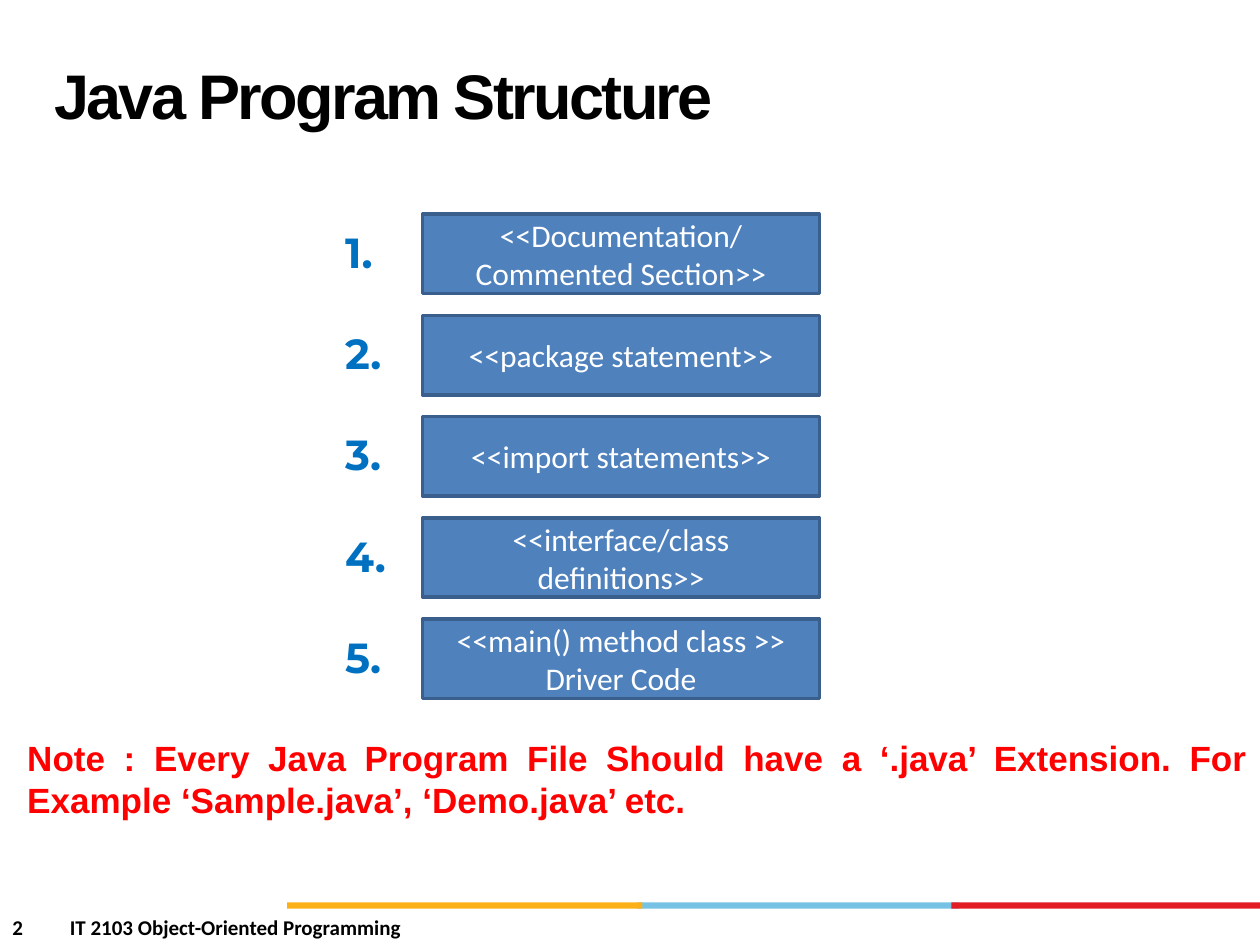
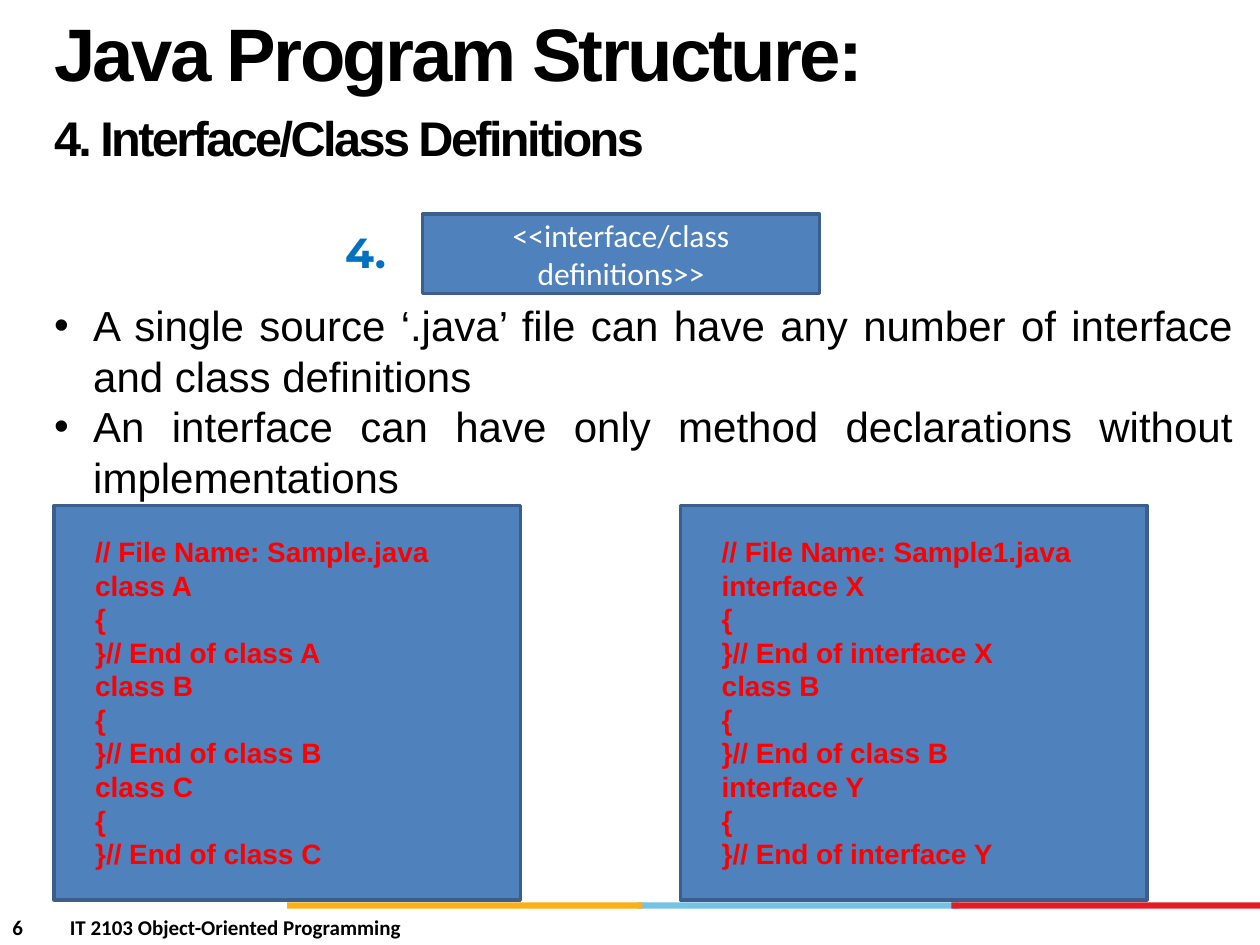
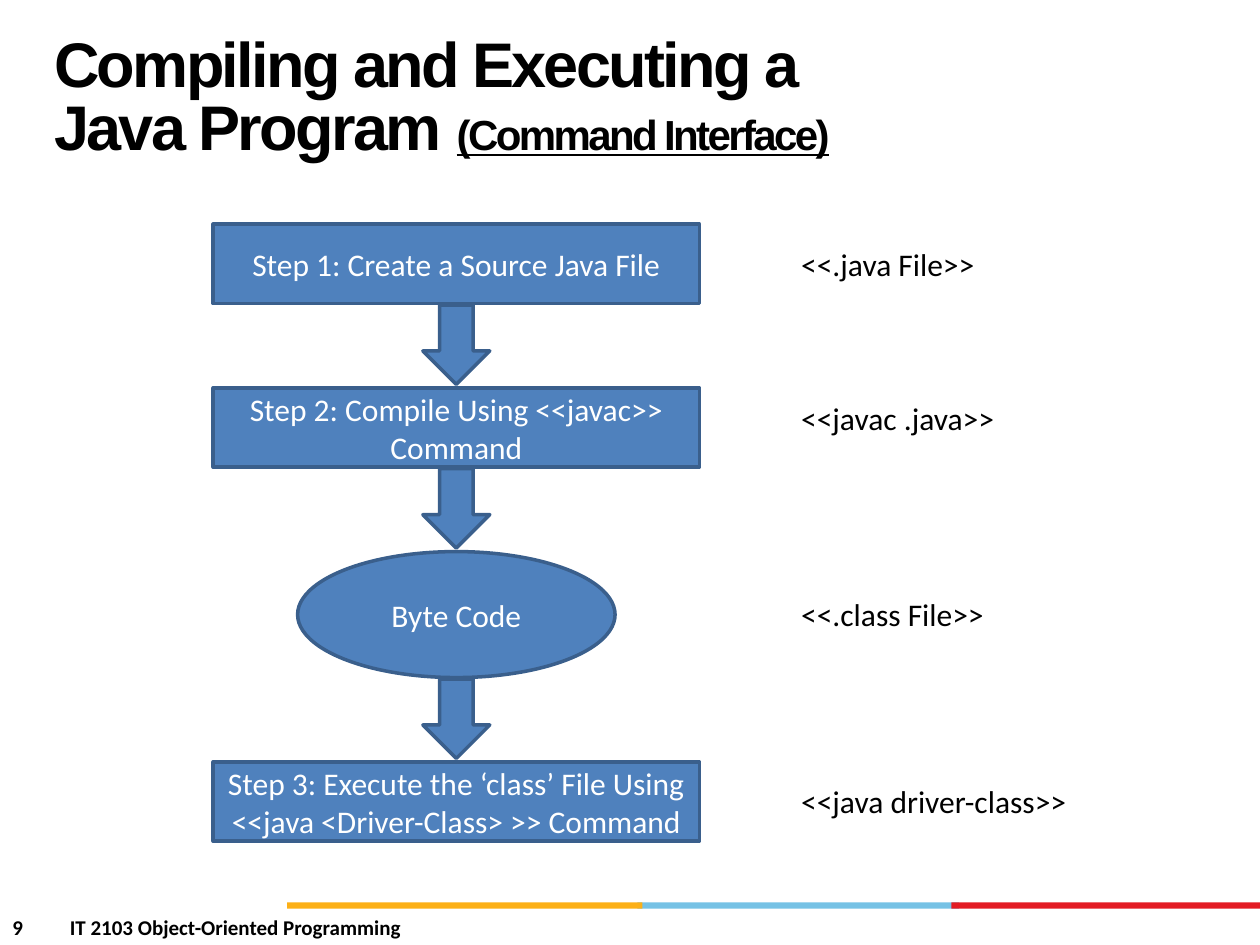
from dataclasses import dataclass

from lxml.etree import SubElement
from pptx import Presentation
from pptx.dml.color import RGBColor
from pptx.enum.shapes import MSO_SHAPE
from pptx.enum.text import MSO_ANCHOR, MSO_AUTO_SIZE, PP_ALIGN
from pptx.oxml.ns import qn
from pptx.util import Cm, Pt

BLACK = RGBColor(0x00, 0x00, 0x00)
WHITE = RGBColor(0xFF, 0xFF, 0xFF)
RED = RGBColor(0xFF, 0x00, 0x00)
NUMBER_BLUE = RGBColor(0x00, 0x70, 0xC0)
BOX_FILL = RGBColor(0x4F, 0x81, 0xBD)
BOX_LINE = RGBColor(0x3A, 0x5F, 0x8C)
BAND_BLUE = RGBColor(0x76, 0xC2, 0xE5)
BAND_RED = RGBColor(0xE3, 0x1C, 0x24)
BAND_YELLOW = RGBColor(0xFC, 0xB0, 0x17)

COURSE = "IT 2103 Object-Oriented Programming"
BANDS = [(12.85, 6.48, BAND_BLUE), (19.18, 6.22, BAND_RED), (5.79, 7.16, BAND_YELLOW)]
BOX_HEIGHT = 1.6


@dataclass(frozen=True)
class Style:
    font: str
    size: float
    color: RGBColor
    bold: bool = False
    align: PP_ALIGN = PP_ALIGN.LEFT
    spacing: int = 0


TITLE = Style("Arial", 36, BLACK, True, spacing=-150)
FOOTER = Style("Calibri", 12, BLACK, True)
BOX = Style("Calibri", 18, WHITE, align=PP_ALIGN.CENTER)
LABEL = Style("Calibri", 18, BLACK)
NUMBER = Style("Montserrat", 24, NUMBER_BLUE, True)
NOTE = Style("Arial", 20, RED, True, PP_ALIGN.JUSTIFY)
BODY = Style("Arial", 24, BLACK, align=PP_ALIGN.JUSTIFY)
CODE = Style("Arial", 16, RED, True)


def add_run(p, text, style, size=None, underline=None):
    r = p.add_run()
    r.text = text
    font = r.font
    font.name = style.font
    font.size = Pt(size or style.size)
    font.bold = style.bold
    font.underline = underline
    font.color.rgb = style.color
    if style.spacing:
        r._r.get_or_add_rPr().set("spc", str(style.spacing))


def paragraphs(tf, count, style):
    for i in range(count):
        p = tf.add_paragraph() if i else tf.paragraphs[0]
        p.alignment = style.align
        yield p


def write_lines(tf, lines, style):
    for p, line in zip(paragraphs(tf, len(lines), style), lines):
        add_run(p, line, style)


def text_frame(s, left, top, width, height, wrap=True, grow=True):
    tf = s.shapes.add_textbox(Cm(left), Cm(top), Cm(width), Cm(height)).text_frame
    tf.word_wrap = wrap
    tf.auto_size = MSO_AUTO_SIZE.SHAPE_TO_FIT_TEXT if grow else MSO_AUTO_SIZE.NONE
    return tf


def add_box(s, left, top, width, height, lines=(), kind=MSO_SHAPE.RECTANGLE):
    sp = s.shapes.add_shape(kind, Cm(left), Cm(top), Cm(width), Cm(height))
    sp.shadow.inherit = False
    sp.fill.solid()
    sp.fill.fore_color.rgb = BOX_FILL
    sp.line.color.rgb = BOX_LINE
    sp.line.width = Pt(2)
    tf = sp.text_frame
    tf.word_wrap = True
    tf.vertical_anchor = MSO_ANCHOR.MIDDLE
    write_lines(tf, lines, BOX)


def add_footer(s, page):
    for left, width, color in BANDS:
        sp = s.shapes.add_shape(MSO_SHAPE.RECTANGLE, Cm(left), Cm(18.19), Cm(width), Cm(0.13))
        sp.shadow.inherit = False
        sp.fill.solid()
        sp.fill.fore_color.rgb = color
        sp.line.fill.background()
    p = text_frame(s, 0, 18.31, 12.7, 0.76).paragraphs[0]
    tabs = SubElement(p._p.get_or_add_pPr(), qn("a:tabLst"))
    SubElement(tabs, qn("a:tab"), pos=str(Cm(1.16)), algn="l")
    add_run(p, f"{page}\t{COURSE}", FOOTER)


def add_title(s, rows):
    tf = text_frame(s, 0.84, 0.43, 17.58, 3.18, grow=False)
    tf.vertical_anchor = MSO_ANCHOR.MIDDLE
    for i, p in enumerate(paragraphs(tf, len(rows), TITLE)):
        p.line_spacing = Pt(36)
        if i:
            p.space_before = Pt(4)
        for run in rows[i]:
            add_run(p, *run)


def new_slide(prs, page, title_rows):
    s = prs.slides.add_slide(prs.slide_layouts[6])
    add_footer(s, page)
    add_title(s, title_rows)
    return s


def add_numbered_box(s, left, top, number, lines):
    add_box(s, left + 1.81, top, 8, BOX_HEIGHT, lines)
    tf = text_frame(s, left, top + 0.12, 1.37, 1.27, wrap=False)
    write_lines(tf, [f"{number}."], NUMBER)


def add_bullets(s, left, top, width, height, items):
    tf = text_frame(s, left, top, width, height)
    for p, item in zip(paragraphs(tf, len(items), BODY), items):
        pPr = p._p.get_or_add_pPr()
        pPr.set("marL", str(Cm(0.79)))
        pPr.set("indent", str(-Cm(0.79)))
        SubElement(pPr, qn("a:buFont"), typeface="Arial")
        SubElement(pPr, qn("a:buChar"), char="•")
        add_run(p, item, BODY)


def add_code_panel(s, left, top, width, height, file_name, units):
    add_box(s, left, top, width, height)
    lines = [f"// File Name: {file_name}"]
    for unit in units:
        lines += [unit, "{", "}// End of " + unit]
    tf = text_frame(s, left + 0.58, top + 0.46, width - 1.1, height - 0.86)
    write_lines(tf, lines, CODE)


def add_flow(s, center, top, label_left, steps):
    gap, arrow_width = 1.7, 1.35
    for i, (kind, width, height, text, label, label_width, shift) in enumerate(steps):
        if i:
            add_box(s, center - arrow_width / 2, top - gap + 0.03, arrow_width, 1.6,
                    kind=MSO_SHAPE.DOWN_ARROW)
        add_box(s, center - width / 2, top, width, height, [text], kind)
        tf = text_frame(s, label_left, top + height / 2 - 0.51 + shift, label_width, 1.02, wrap=False)
        write_lines(tf, [label], LABEL)
        top += height + gap


def structure_slide(prs):
    s = new_slide(prs, 2, [[("Java Program Structure", TITLE)]])
    sections = [
        ["<<Documentation/", "Commented Section>>"],
        ["<<package statement>>"],
        ["<<import statements>>"],
        ["<<interface/class definitions>>"],
        ["<<main() method class >>", "Driver Code"],
    ]
    for i, lines in enumerate(sections):
        add_numbered_box(s, 6.71, 4.32 + 2.04 * i, i + 1, lines)
    write_lines(text_frame(s, 0.3, 14.73, 25.1, 1.96), [
        "Note : Every Java Program File Should have a ‘.java’ Extension. "
        "For Example ‘Sample.java’, ‘Demo.java’ etc."], NOTE)


def definitions_slide(prs):
    s = new_slide(prs, 6, [[("Java Program Structure:", TITLE, 42.5)],
                           [("4. Interface/Class Definitions", TITLE, 27.8)]])
    add_numbered_box(s, 6.71, 4.32, 4, ["<<interface/class definitions>>"])
    add_bullets(s, 0.84, 5.92, 24.26, 4.37, [
        "A single source ‘.java’ file can have any number of interface and class definitions",
        "An interface can have only method declarations without implementations",
    ])
    panels = [
        (1.09, "Sample.java", ["class A", "class B", "class C"]),
        (13.72, "Sample1.java", ["interface X", "class B", "interface Y"]),
    ]
    for left, file_name, units in panels:
        add_code_panel(s, left, 10.19, 9.4, 7.95, file_name, units)


def compiling_slide(prs):
    s = new_slide(prs, 9, [[("Compiling and Executing a Java Program ", TITLE),
                            ("(Command Interface)", TITLE, 24, True)]])
    step = (MSO_SHAPE.RECTANGLE, 9.8, BOX_HEIGHT)
    result = (MSO_SHAPE.OVAL, 6.4, 2.54)
    add_flow(s, 9.2, 4.52, 15.9, [
        (*step, "Step 1: Create a Source Java File", "<<.java File>>", 4.04, 0),
        (*step, "Step 2: Compile Using <<javac>> Command", "<<javac .java>>", 4.45, -0.19),
        (*result, "Byte Code", "<<.class File>>", 4.24, 0),
        (*step, "Step 3: Execute the ‘class’ File Using <<java <Driver-Class> >> Command",
         "<<java driver-class>>", 5.94, 0),
    ])


def main():
    prs = Presentation()
    prs.slide_width = Cm(25.4)
    prs.slide_height = Cm(19.05)
    structure_slide(prs)
    definitions_slide(prs)
    compiling_slide(prs)
    prs.save("out.pptx")


if __name__ == "__main__":
    main()
